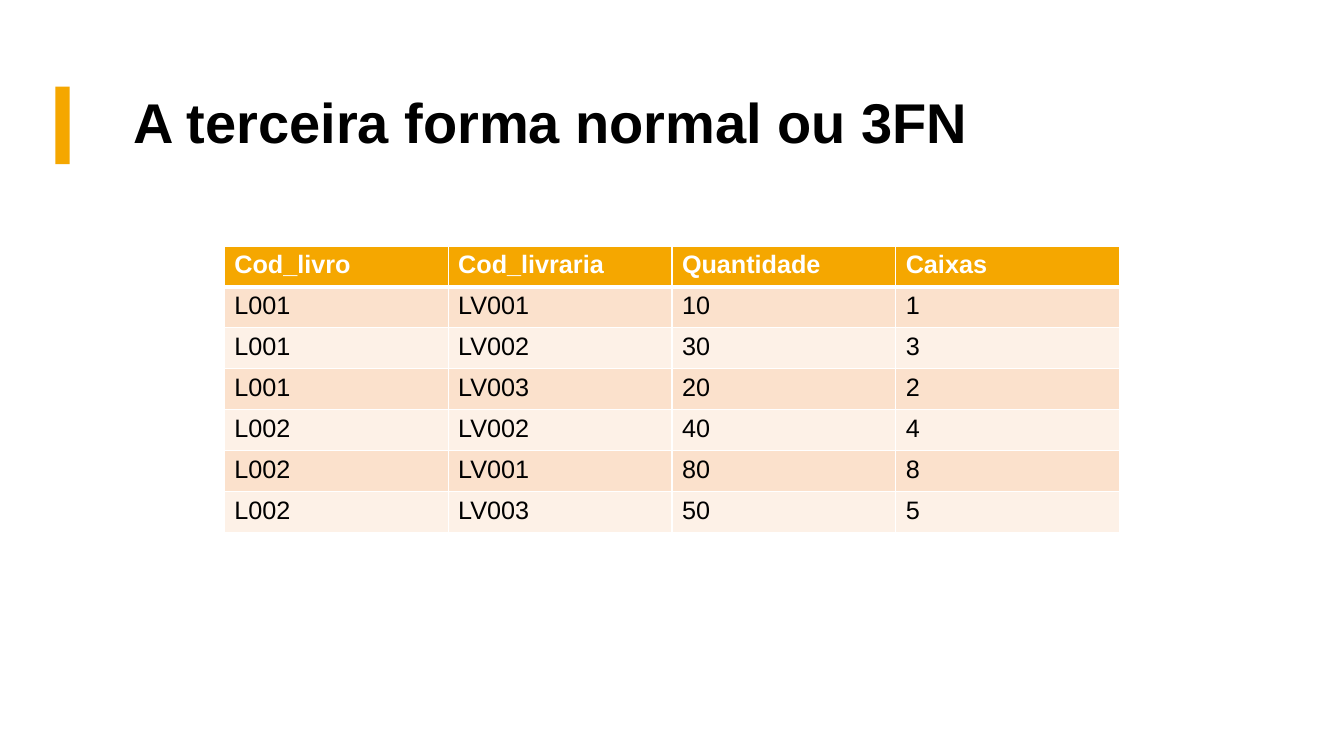
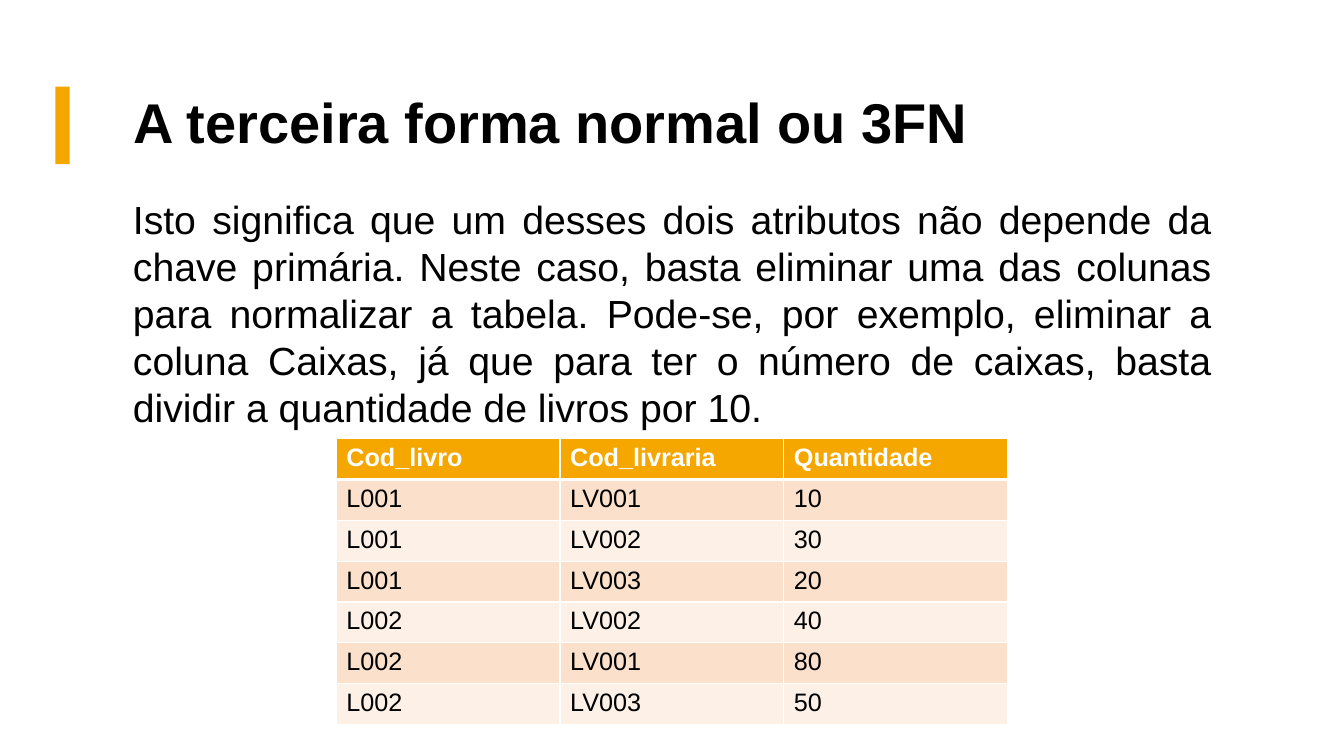
from lxml import etree
from pptx import Presentation
from pptx.dml.color import RGBColor
from pptx.enum.shapes import MSO_SHAPE
from pptx.enum.text import MSO_ANCHOR, PP_ALIGN
from pptx.oxml.ns import qn
from pptx.util import Inches, Pt

RECT = MSO_SHAPE.RECTANGLE
MIDDLE = MSO_ANCHOR.MIDDLE
LEFT, JUSTIFY = PP_ALIGN.LEFT, PP_ALIGN.JUSTIFY

COLORS = {
    "accent": "F5A700",
    "dark": "FBE1CC",
    "light": "FDF1E7",
    "text": "000000",
    "white": "FFFFFF",
}
WIDTH, HEIGHT = 13.33, 7.5
COLUMN = 2.22
TITLE = "A terceira forma normal ou 3FN"
BODY = (
    "Isto significa que um desses dois atributos não depende da chave primária. "
    "Neste caso, basta eliminar uma das colunas para normalizar a tabela. "
    "Pode-se, por exemplo, eliminar a coluna Caixas, já que para ter o número de "
    "caixas, basta dividir a quantidade de livros por 10."
)
ROWS = [
    ("Cod_livro", "Cod_livraria", "Quantidade", "Caixas"),
    ("L001", "LV001", "10", "1"),
    ("L001", "LV002", "30", "3"),
    ("L001", "LV003", "20", "2"),
    ("L002", "LV002", "40", "4"),
    ("L002", "LV001", "80", "8"),
    ("L002", "LV003", "50", "5"),
]
SLIDES = [(4, 2.44, None), (3, 4.35, BODY)]


def style(para, size, color="text", bold=False, align=LEFT):
    para.alignment = align
    font = para.font
    font.name = "Arial"
    font.size = Pt(size)
    font.bold = bold
    font.color.rgb = RGBColor.from_string(COLORS[color])


def border(cell, top, bottom):
    props = cell._tc.get_or_add_tcPr()
    for side, width in (("L", 1), ("R", 1), ("T", top), ("B", bottom)):
        line = etree.SubElement(props, qn(f"a:ln{side}"), w=str(Pt(width)))
        fill = etree.SubElement(line, qn("a:solidFill"))
        etree.SubElement(fill, qn("a:srgbClr"), val=COLORS["white"])


prs = Presentation()
prs.slide_width, prs.slide_height = Inches(WIDTH), Inches(HEIGHT)

for count, top, body in SLIDES:
    slide = prs.slides.add_slide(prs.slide_layouts[5])

    bar = slide.shapes.add_shape(RECT, Inches(0.55), Inches(0.86), Inches(0.14), Inches(0.77))
    bar.shadow.inherit = False
    bar.fill.solid()
    bar.fill.fore_color.rgb = RGBColor.from_string(COLORS["accent"])
    bar.line.fill.background()

    title = slide.shapes.title
    title.left, title.top = Inches(1.22), Inches(0.6)
    title.width, title.height = Inches(11.12), Inches(1.29)
    title.text_frame.text = TITLE
    title.text_frame.vertical_anchor = MIDDLE
    head = title.text_frame.paragraphs[0]
    head.line_spacing = 0.9
    style(head, 40, bold=True)

    width = count * COLUMN
    table = slide.shapes.add_table(
        len(ROWS), count, Inches((WIDTH - width) / 2), Inches(top), Inches(width), Inches(2.84)
    ).table
    for r, row in enumerate(ROWS):
        shade = "accent" if r == 0 else "dark" if r % 2 else "light"
        for c, value in enumerate(row[:count]):
            cell = table.cell(r, c)
            cell.text = value
            style(cell.text_frame.paragraphs[0], 18, "text" if r else "white", r == 0)
            border(cell, 3 if r == 1 else 1, 3 if r == 0 else 1)
            cell.fill.solid()
            cell.fill.fore_color.rgb = RGBColor.from_string(COLORS[shade])

    if body:
        box = slide.shapes.add_textbox(Inches(1.22), Inches(1.89), Inches(10.89), Inches(2.46))
        box.text_frame.word_wrap = True
        box.text_frame.text = body
        style(box.text_frame.paragraphs[0], 28, align=JUSTIFY)

prs.save("out.pptx")
